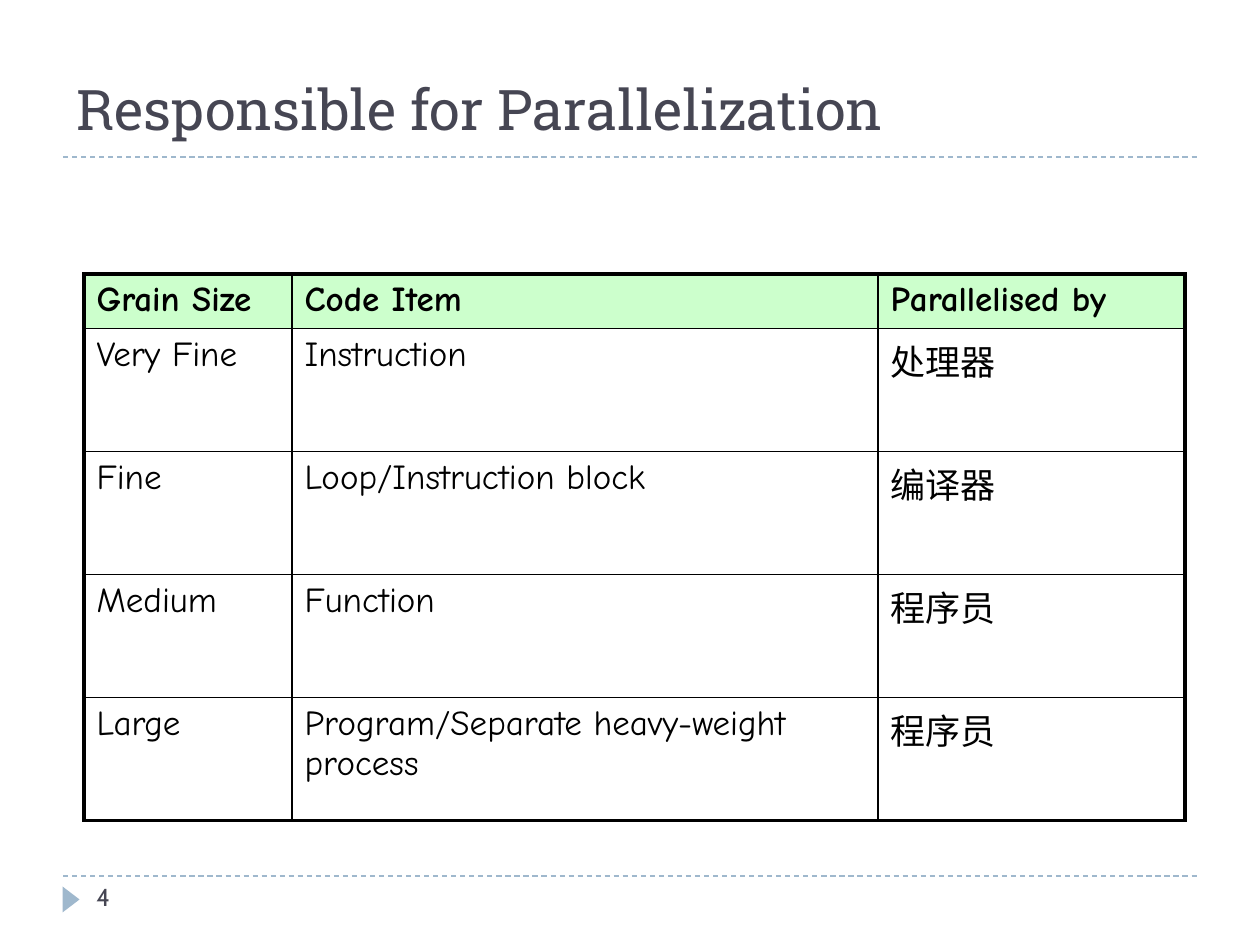
from lxml.etree import SubElement as Sub
from pptx import Presentation
from pptx.dml.color import RGBColor as Rgb
from pptx.enum.dml import MSO_LINE as Dash
from pptx.enum.shapes import MSO_CONNECTOR as Link, MSO_SHAPE as Form
from pptx.oxml.ns import qn
from pptx.util import Emu, Pt

HUES = {"ink": "464653", "rule": "9FB8CD", "head": "CCFFCC", "text": "000000"}
ROWS = [
    ("Grain Size", "Code Item", "Parallelised by"),
    ("Very Fine", "Instruction", "处理器"),
    ("Fine", "Loop/Instruction block", "编译器"),
    ("Medium", "Function", "程序员"),
    ("Large", "Program/Separate heavy-weight process", "程序员"),
]


def px(num):
    return Emu(round(num * 914400 / 126))


def hue(name):
    return Rgb.from_string(HUES[name])


class Deck:
    """Holds the style and the current slide, and draws each kind of element."""

    def __init__(self, wide, high):
        self.show = Presentation()
        self.show.slide_width, self.show.slide_height = px(wide), px(high)
        self.slide = self.show.slides.add_slide(self.show.slide_layouts[6])
        self.shapes = self.slide.shapes

    def words(self, frame, text, face, size, tone, bold=False):
        run = frame.paragraphs[0].add_run()
        run.text = text
        font = run.font
        font.name, font.size, font.bold = face, Pt(size), bold
        font.color.rgb = hue(tone)

    def label(self, box, text, face, size, inset=6):
        frame = self.shapes.add_textbox(*map(px, box)).text_frame
        frame.word_wrap = True
        frame.margin_top = px(inset)
        self.words(frame, text, face, size, "ink")

    def rule(self, left, right, top):
        line = self.shapes.add_connector(Link.STRAIGHT, *map(px, (left, top, right, top)))
        line.line.color.rgb = hue("rule")
        line.line.width = Pt(0.75)
        line.line.dash_style = Dash.DASH
        Sub(line._element.spPr, qn("a:effectLst"))

    def mark(self, box, turn):
        shape = self.shapes.add_shape(Form.ISOSCELES_TRIANGLE, *map(px, box))
        shape.rotation = turn
        shape.shadow.inherit = False
        shape.fill.solid()
        shape.fill.fore_color.rgb = hue("rule")
        shape.line.fill.background()

    def edge(self, cell, side, width):
        line = Sub(cell._tc.get_or_add_tcPr(), qn(f"a:ln{side}"), w=str(Pt(width)))
        Sub(Sub(line, qn("a:solidFill")), qn("a:srgbClr"), val=HUES["text"])

    def table(self, left, top, cols, highs, rows):
        box = map(px, (left, top, sum(cols), sum(highs)))
        grid = self.shapes.add_table(len(rows), len(cols), *box).table
        grid.first_row = grid.horz_banding = False
        for col, wide in zip(grid.columns, cols):
            col.width = px(wide)
        for row, high in zip(grid.rows, highs):
            row.height = px(high)
        for r, row in enumerate(rows):
            for c, text in enumerate(row):
                cell = grid.cell(r, c)
                outer = {"L": c == 0, "R": c == len(cols) - 1,
                         "T": r == 0, "B": r == len(rows) - 1}
                for side, thick in outer.items():
                    self.edge(cell, side, 2.25 if thick else 1)
                if r == 0:
                    cell.fill.solid()
                    cell.fill.fore_color.rgb = hue("head")
                else:
                    cell.fill.background()
                self.words(cell.text_frame, text, "Comic Neue", 20, "text", r == 0)

    def save(self):
        self.show.save("out.pptx")


def main():
    deck = Deck(1260, 945)
    for top in (876, 157):
        deck.rule(63, 1197, top)
    deck.mark((58, 891, 26, 17), 90)
    deck.label((64, 60, 968, 158), "Responsible for Parallelization", "Roboto Slab", 32, 14)
    deck.label((84, 876, 273, 50), "4", "Cabin", 14)
    deck.table(84, 274, (208, 586, 307), [53] + [123] * 4, ROWS)
    deck.save()


if __name__ == "__main__":
    main()
